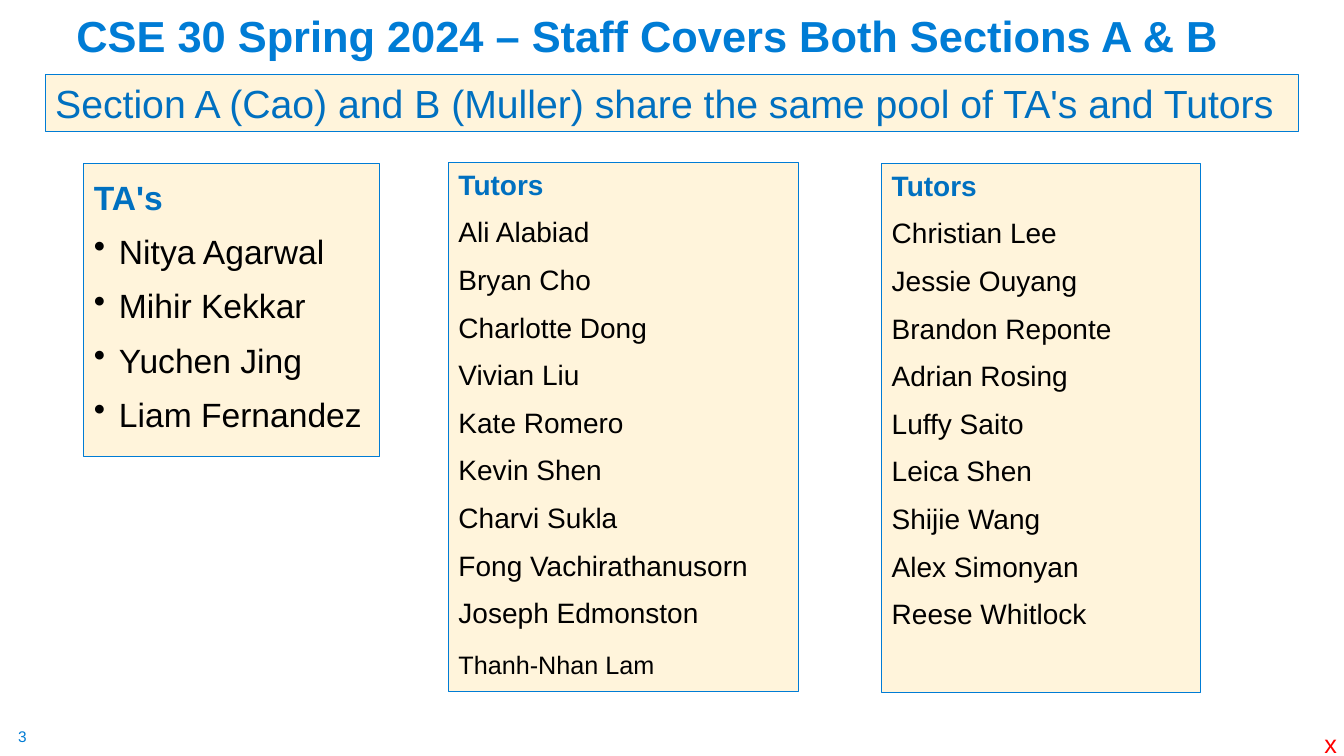
"""Build the CSE 30 staff slide with its TA and tutor lists."""
import pptx
import pptx.util
import pptx.dml.color
import pptx.enum.shapes
import pptx.enum.text
import lxml.etree

Pt = pptx.util.Pt
ANCHOR = pptx.enum.text.MSO_ANCHOR

BRIGHT, BLUE, BLACK, RED, CREAM = "007CD5", "0070C0", "000000", "FF0000", "FFF4DB"
INSET = (7.2, 3.6)
BULLET_INDENT = 18

TITLE = "CSE 30 Spring 2024 – Staff Covers Both Sections A & B"
BANNER = "Section A (Cao) and B (Muller) share the same pool of TA's and Tutors"
LISTS = [
    {"box": (59.9, 116.8, 211.5, 209.5), "heading": "TA's", "size": 24,
     "heading_spacing": 1.2, "bullets": True,
     "names": ["Nitya Agarwal", "Mihir Kekkar", "Yuchen Jing", "Liam Fernandez"]},
    {"box": (320.4, 115.9, 250, 378), "heading": "Tutors", "size": 20,
     "heading_spacing": 1.0, "bullets": False,
     "names": ["Ali Alabiad", "Bryan Cho", "Charlotte Dong", "Vivian Liu",
               "Kate Romero", "Kevin Shen", "Charvi Sukla",
               "Fong Vachirathanusorn", "Joseph Edmonston"],
     "last": ("Thanh-Nhan Lam", 18, 1.2)},
    {"box": (629.9, 116.6, 227.8, 378), "heading": "Tutors", "size": 20,
     "heading_spacing": 1.0, "bullets": False,
     "names": ["Christian Lee", "Jessie Ouyang", "Brandon Reponte",
               "Adrian Rosing", "Luffy Saito", "Leica Shen", "Shijie Wang",
               "Alex Simonyan", "Reese Whitlock"]},
]


def rgb(value):
    return pptx.dml.color.RGBColor.from_string(value)


def set_frame(sp, inset=INSET, wrap=True, anchor=ANCHOR.TOP):
    tf = sp.text_frame
    tf.margin_left = tf.margin_right = Pt(inset[0])
    tf.margin_top = tf.margin_bottom = Pt(inset[1])
    tf.word_wrap = wrap
    tf.vertical_anchor = anchor
    return tf


def write(p, text, size, color, bold=False, spacing=1.0, before=0):
    p.text = text
    p.alignment = pptx.enum.text.PP_ALIGN.LEFT
    p.font.name = "Arial"
    p.font.size = Pt(size)
    p.font.bold = bold
    p.font.color.rgb = rgb(color)
    p.line_spacing = spacing
    p.space_before = Pt(before)


def add_bullet(p):
    pPr = p._p.get_or_add_pPr()
    pPr.set("marL", str(Pt(BULLET_INDENT)))
    pPr.set("indent", str(-Pt(BULLET_INDENT)))
    bullet = lxml.etree.Element(pptx.oxml.ns.qn("a:buChar"), char="•")
    pPr.find(pptx.oxml.ns.qn("a:defRPr")).addprevious(bullet)


def add_label(s, box, text, size, color, bold=False, spacing=1.0, **frame):
    sp = s.shapes.add_textbox(*map(Pt, box))
    write(set_frame(sp, **frame).paragraphs[0], text, size, color, bold, spacing)


def add_panel(s, box):
    sp = s.shapes.add_shape(pptx.enum.shapes.MSO_SHAPE.RECTANGLE, *map(Pt, box))
    sp.shadow.inherit = False
    sp.fill.solid()
    sp.fill.fore_color.rgb = rgb(CREAM)
    sp.line.color.rgb = rgb(BRIGHT)
    sp.line.width = Pt(0.75)
    return set_frame(sp)


def add_list(s, staff):
    tf = add_panel(s, staff["box"])
    write(tf.paragraphs[0], staff["heading"], staff["size"], BLUE, True,
          staff["heading_spacing"], 10)
    rows = [(name, staff["size"], 1.0) for name in staff["names"]]
    if "last" in staff:
        rows.append(staff["last"])
    for name, size, spacing in rows:
        p = tf.add_paragraph()
        write(p, name, size, BLACK, False, spacing, 10)
        if staff["bullets"]:
            add_bullet(p)


def main():
    prs = pptx.Presentation()
    prs.slide_width, prs.slide_height = Pt(960), Pt(540)
    s = prs.slides.add_slide(prs.slide_layouts[6])
    add_label(s, (13, 519.1, 13.7, 13.7), "3", 11, BRIGHT, inset=(0, 0), wrap=False)
    add_label(s, (47.5, 13.7, 869.8, 33.8), TITLE, 31, BRIGHT, True, 0.9,
              anchor=ANCHOR.BOTTOM)
    add_label(s, (938.9, 517, 23.8, 28.8), "x", 18, RED, wrap=False)
    write(add_panel(s, (32.4, 53.3, 895.4, 40.7)).paragraphs[0], BANNER, 28, BLUE)
    for staff in LISTS:
        add_list(s, staff)
    prs.save("out.pptx")


if __name__ == "__main__":
    main()
